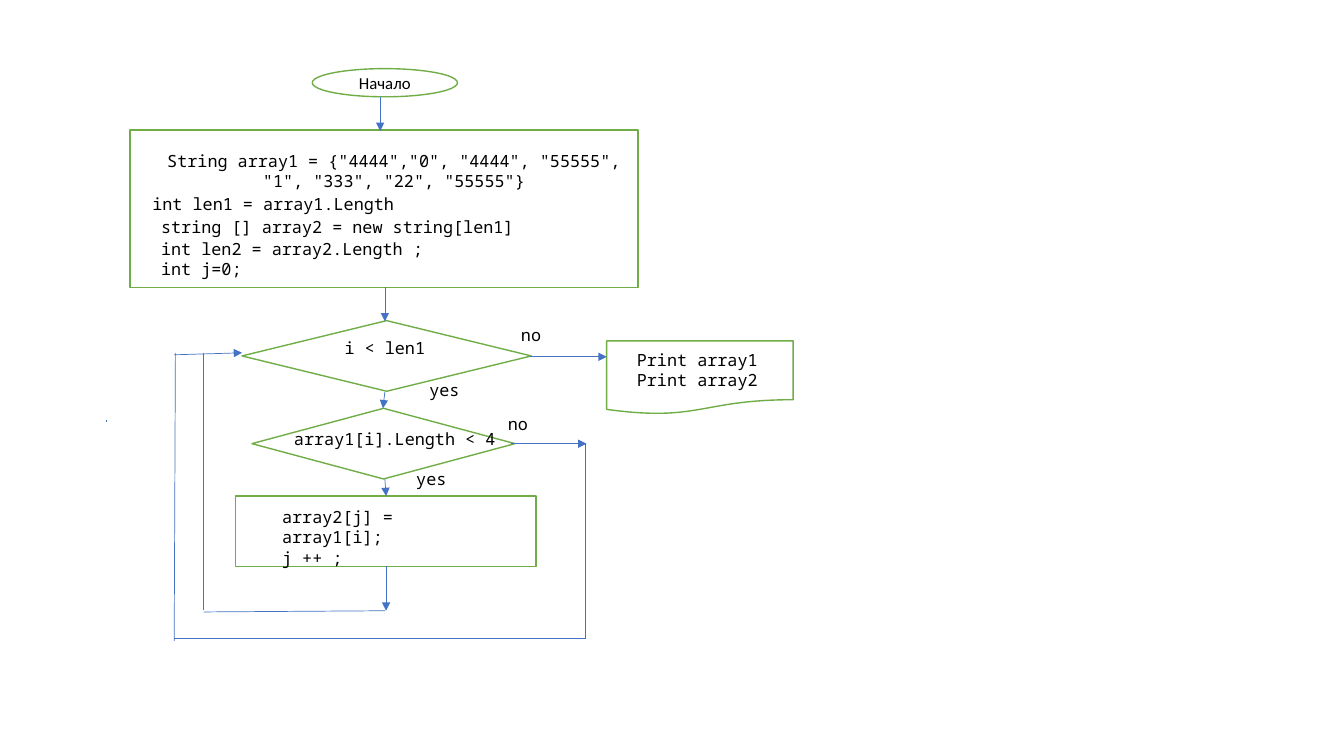
"""Build a flowchart slide that filters short strings from an array."""
from lxml import etree
from pptx import Presentation
from pptx.dml.color import RGBColor
from pptx.enum.shapes import MSO_CONNECTOR, MSO_SHAPE
from pptx.enum.text import MSO_ANCHOR, PP_ALIGN
from pptx.oxml.ns import qn
from pptx.util import Cm, Pt

OVAL, RECTANGLE = MSO_SHAPE.OVAL, MSO_SHAPE.RECTANGLE
DIAMOND, DOCUMENT = MSO_SHAPE.DIAMOND, MSO_SHAPE.FLOWCHART_DOCUMENT
LEFT, CENTER = PP_ALIGN.LEFT, PP_ALIGN.CENTER
BLACK, WHITE, GREEN, BLUE = "000000", "FFFFFF", "70AD47", "4472C4"


def color(value):
    return RGBColor.from_string(value)


def write(frame, text, align, font):
    frame.text = text
    frame.word_wrap = True
    for paragraph in frame.paragraphs:
        paragraph.alignment = align
        for span in paragraph.runs:
            span.font.name = font
            span.font.size = Pt(12)
            span.font.color.rgb = color(BLACK)


deck = Presentation()
deck.slide_width, deck.slide_height = Cm(33.87), Cm(19.05)
page = deck.slides.add_slide(deck.slide_layouts[6])

steps = [
    (OVAL, 7.87, 1.73, 3.66, 0.71, "Начало"),
    (RECTANGLE, 3.28, 3.28, 12.8, 3.96, ""),
    (DIAMOND, 6.1, 8.08, 7.29, 1.78, ""),
    (DIAMOND, 6.35, 10.29, 6.63, 1.78, ""),
    (RECTANGLE, 5.94, 12.5, 7.57, 1.78, ""),
    (DOCUMENT, 15.29, 8.59, 4.7, 1.85, ""),
]
for kind, left, top, width, height, text in steps:
    step = page.shapes.add_shape(kind, Cm(left), Cm(top), Cm(width), Cm(height))
    step.shadow.inherit = False
    step.fill.solid()
    step.fill.fore_color.rgb = color(WHITE)
    step.line.color.rgb = color(GREEN)
    step.line.width = Pt(1)
    if text:
        step.text_frame.vertical_anchor = MSO_ANCHOR.MIDDLE
        write(step.text_frame, text, CENTER, "Calibri")

labels = [
    (3.53, 3.68, 12.8, CENTER,
     'String array1 = {"4444","0", "4444", "55555", "1", "333", "22", "55555"}'),
    (3.59, 4.75, 12.5, LEFT, "int len1 = array1.Length"),
    (3.81, 5.33, 13.44, LEFT, "string [] array2 = new string[len1]"),
    (3.81, 5.89, 10.21, LEFT, "int len2 = array2.Length ;\nint j=0;"),
    (3.3, 8.38, 12.8, CENTER, "i < len1"),
    (7.16, 10.69, 5.72, LEFT, "array1[i].Length < 4"),
    (6.86, 12.65, 5.72, LEFT, "array2[j] = array1[i];\nj ++ ;"),
    (15.8, 8.69, 3.68, LEFT, "Print array1\nPrint array2"),
    (10.57, 9.45, 1.45, LEFT, "yes"),
    (10.24, 11.68, 1.45, LEFT, "yes"),
    (12.88, 8.05, 1.65, LEFT, "no"),
    (12.55, 10.29, 1.65, LEFT, "no"),
]
for left, top, width, align, text in labels:
    box = page.shapes.add_textbox(Cm(left), Cm(top), Cm(width), Cm(0.76))
    write(box.text_frame, text, align, "Noto Sans Mono")

arrows = [
    (9.58, 2.44, 9.58, 3.3),
    (9.7, 7.24, 9.7, 8.1),
    (9.7, 9.88, 9.65, 10.29),
    (9.7, 12.07, 9.73, 12.5),
    (9.73, 14.27, 9.73, 15.39),
    (4.39, 8.94, 6.1, 8.89),
    (13.36, 8.99, 15.29, 8.99),
    (12.88, 11.18, 14.78, 11.18),
]
plain_lines = [
    (2.69, 10.64, 2.69, 10.59),
    (5.13, 8.89, 5.13, 15.37),
    (5.13, 15.42, 9.7, 15.39),
    (4.42, 8.89, 4.39, 16.15),
    (4.39, 16.08, 14.78, 16.08),
    (14.76, 11.2, 14.76, 16.08),
]
for ends in arrows + plain_lines:
    connector = page.shapes.add_connector(
        MSO_CONNECTOR.STRAIGHT, *[Cm(value) for value in ends])
    connector.line.color.rgb = color(BLUE)
    connector.line.width = Pt(0.5)
    if ends in arrows:
        etree.SubElement(connector.line._get_or_add_ln(), qn("a:tailEnd"), type="triangle")
    etree.SubElement(connector._element.spPr, qn("a:effectLst"))

deck.save("out.pptx")
